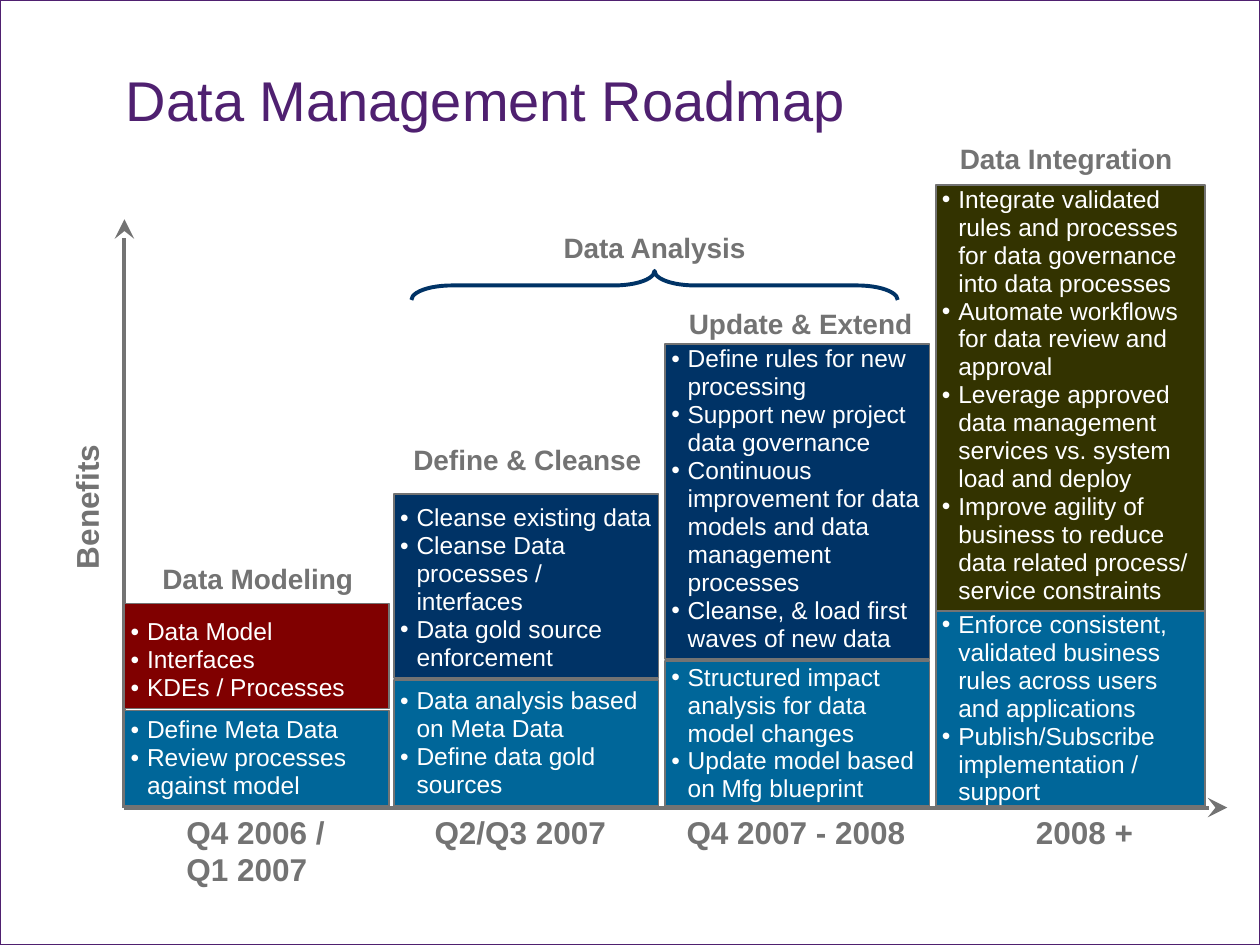
from lxml.etree import SubElement
from pptx import Presentation
from pptx.dml.color import RGBColor
from pptx.enum.shapes import MSO_CONNECTOR as Connector, MSO_SHAPE as Shape
from pptx.enum.text import MSO_ANCHOR as Anchor, MSO_AUTO_SIZE as AutoSize, PP_ALIGN as Align
from pptx.oxml.ns import qn
from pptx.util import Pt

COLOURS = {
    "purple": "4F2070", "grey": "737373", "white": "FFFFFF", "red": "800000",
    "navy": "003366", "olive": "333300", "blue": "006699",
}
BASELINE = 460.8
AXIS_X, AXIS_Y = 71.1, 461.5

# left, width, top, split gap top, split gap bottom, colour, upper and lower items
COLUMNS = [
    (71.1, 151.2, 344.9, 404.9, 406.1, "red",
     ["Data Model", "Interfaces", "KDEs / Processes"],
     ["Define Meta Data", "Review processes against model"]),
    (225.1, 151.2, 282.5, 387.6, 388.8, "navy",
     ["Cleanse existing data", "Cleanse Data processes / interfaces",
      "Data gold source enforcement"],
     ["Data analysis based on Meta Data", "Define data gold sources"]),
    (380, 151.2, 196.5, 376.5, 377.6, "navy",
     ["Define rules for new processing", "Support new project data governance",
      "Continuous improvement for data models and data management processes",
      "Cleanse, & load first waves of new data"],
     ["Structured impact analysis for data model changes",
      "Update model based on Mfg blueprint"]),
    (534.7, 154.1, 105.6, 349.2, 349.2, "olive",
     ["Integrate validated rules and processes for data governance into data processes",
      "Automate workflows for data review and approval",
      "Leverage approved data management services vs. system load and deploy",
      "Improve agility of business to reduce data related process/ service constraints"],
     ["Enforce consistent, validated business rules across users and applications",
      "Publish/Subscribe implementation / support"]),
]

# text, left, top, width, alignment
PHASES = [
    ("Data Modeling", 85.7, 317.5, 126, Align.LEFT),
    ("Define & Cleanse", 227.9, 249.1, 147, Align.CENTER),
    ("Update & Extend", 385, 171.4, 145, Align.CENTER),
    ("Data Integration", 541.4, 77.3, 139, Align.LEFT),
    ("Data Analysis", 313.1, 128.2, 122, Align.CENTER),
]

# lines, left, width, height
PERIODS = [
    (["Q4 2006 /", "Q1 2007"], 99.5, 100, 50.4),
    (["Q2/Q3 2007"], 241.2, 115, 28.8),
    (["Q4 2007 - 2008"], 385.2, 142, 28.8),
    (["2008 +"], 584.9, 72, 28.8),
]


def rgb(name):
    return RGBColor.from_string(COLOURS[name])


def write(frame, lines, size=18, colour="grey", bold=False, align=Align.LEFT,
          spacing=None, bullet=False, insets=(7.2, 3.6), anchor=Anchor.TOP):
    frame.margin_left = frame.margin_right = Pt(insets[0])
    frame.margin_top = frame.margin_bottom = Pt(insets[1])
    frame.vertical_anchor = anchor
    for index, line in enumerate(lines):
        para = frame.add_paragraph() if index else frame.paragraphs[0]
        para.alignment = align
        if spacing:
            para.line_spacing = spacing
        if bullet:
            props = para._p.get_or_add_pPr()
            props.set("marL", str(Pt(9.36)))
            props.set("indent", str(-Pt(9.36)))
            tint = SubElement(props, qn("a:buClr"))
            SubElement(tint, qn("a:srgbClr"), val=COLOURS[colour])
            SubElement(props, qn("a:buFont"), typeface="Arial")
            SubElement(props, qn("a:buChar"), char="•")
        span = para.add_run()
        span.text = line
        span.font.name = "Arial"
        span.font.size = Pt(size)
        span.font.bold = bold
        span.font.color.rgb = rgb(colour)


class Roadmap:
    def __init__(self, page):
        self.page = page

    def shape(self, kind, left, top, width, height, fill=None, line="grey", weight=1):
        box = self.page.shapes.add_shape(kind, Pt(left), Pt(top), Pt(width), Pt(height))
        box.shadow.inherit = False
        if fill:
            box.fill.solid()
            box.fill.fore_color.rgb = rgb(fill)
        else:
            box.fill.background()
        box.line.color.rgb = rgb(line)
        box.line.width = Pt(weight)
        return box

    def block(self, left, top, width, bottom, fill, items, anchor):
        box = self.shape(Shape.RECTANGLE, left, top, width, bottom - top, fill)
        box.text_frame.word_wrap = True
        write(box.text_frame, items, size=14, colour="white", spacing=0.95,
              bullet=True, insets=(3.6, 3.6), anchor=anchor)

    def label(self, lines, left, top, width, height, wrap=False, **style):
        box = self.page.shapes.add_textbox(Pt(left), Pt(top), Pt(width), Pt(height))
        frame = box.text_frame
        frame.word_wrap = wrap
        frame.auto_size = AutoSize.NONE if wrap else AutoSize.SHAPE_TO_FIT_TEXT
        write(frame, lines, **style)
        return box

    def arrow(self, x1, y1, x2, y2):
        axis = self.page.shapes.add_connector(
            Connector.STRAIGHT, Pt(x1), Pt(y1), Pt(x2), Pt(y2))
        axis.line.color.rgb = rgb("grey")
        axis.line.width = Pt(2.25)
        SubElement(axis.line._get_or_add_ln(), qn("a:tailEnd"), type="stealth",
                   w="lg", len="lg")
        SubElement(axis._element.spPr, qn("a:effectLst"))

    def brace(self, left, top, width, height):
        # Drawn upright around the same centre, then turned to point upwards
        brace = self.shape(Shape.RIGHT_BRACE, left + (width - height) / 2,
                           top + (height - width) / 2, height, width,
                           line="navy", weight=2.25)
        brace.adjustments[0] = 1.39
        brace.rotation = 270


def main():
    deck = Presentation()
    deck.slide_width, deck.slide_height = Pt(720), Pt(540)
    roadmap = Roadmap(deck.slides.add_slide(deck.slide_layouts[6]))

    # Frame and title
    roadmap.shape(Shape.RECTANGLE, 0, 0, 720, 540, line="purple", weight=0.75)
    roadmap.label(["Data Management Roadmap"], 72, 41.8, 599.8, 48.2, wrap=True,
                  size=32, colour="purple", spacing=0.9, insets=(0, 0))

    # Axes
    roadmap.arrow(AXIS_X, AXIS_Y, 701.3, AXIS_Y)
    roadmap.arrow(AXIS_X, AXIS_Y, AXIS_X, 125.3)
    benefits = roadmap.label(["Benefits"], 4.3, 272.9, 90, 28.8, bold=True)
    benefits.rotation = 270

    # Periods under the axis
    for lines, left, width, height in PERIODS:
        roadmap.label(lines, left, BASELINE, width, height, bold=True)

    # Stacked columns
    for left, width, top, upper_end, lower_top, fill, upper, lower in COLUMNS:
        roadmap.block(left, top, width, upper_end, fill, upper, Anchor.BOTTOM)
        roadmap.block(left, lower_top, width, BASELINE, "blue", lower, Anchor.MIDDLE)

    # Phase names and the brace over the analysis phases
    for text, left, top, width, align in PHASES:
        roadmap.label([text], left, top, width, 26.6, size=16, bold=True, align=align)
    roadmap.brace(235.1, 154.8, 277.9, 16.6)

    deck.save("out.pptx")


if __name__ == "__main__":
    main()
